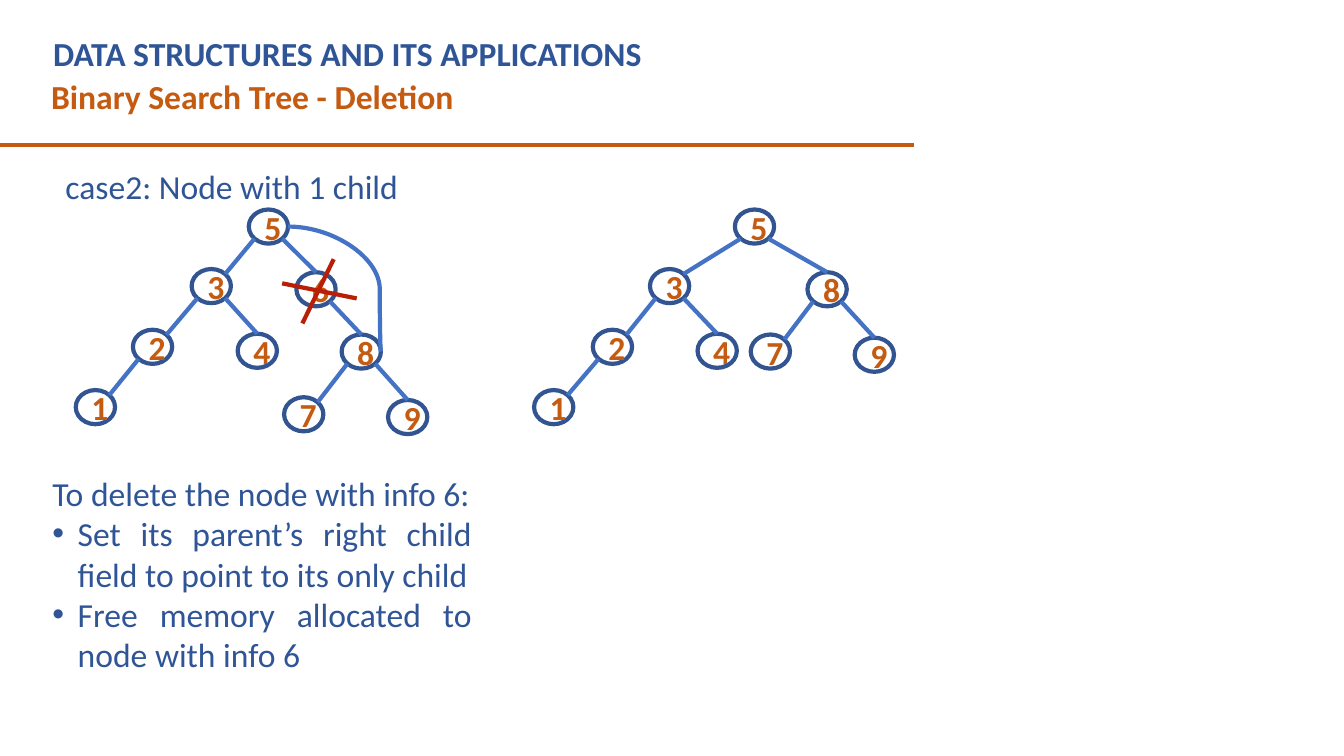
from dataclasses import dataclass
from math import sqrt

from lxml.etree import SubElement
from pptx import Presentation
from pptx.dml.color import RGBColor
from pptx.enum.shapes import MSO_CONNECTOR, MSO_SHAPE
from pptx.enum.text import PP_ALIGN
from pptx.oxml.ns import qn
from pptx.shapes.autoshape import Shape
from pptx.shapes.connector import Connector
from pptx.text.text import TextFrame, _Paragraph
from pptx.util import Cm, Pt

COLORS = {
    "title": "2F5597",
    "accent": "C55A11",
    "ring": "325491",
    "edge": "4472C4",
    "cross": "B81F06",
    "white": "FFFFFF",
}
FONT = "Calibri"
WIDE, HIGH = 0.99, 0.86
DIAG_X, DIAG_Y = WIDE / sqrt(8), HIGH / sqrt(8)


@dataclass(frozen=True)
class Node:
    key: str
    x: float
    y: float
    parent: str = ""
    right: bool = False

    @property
    def mid_x(self) -> float:
        return self.x + WIDE / 2

    @property
    def mid_y(self) -> float:
        return self.y + HIGH / 2


@dataclass(frozen=True)
class Label:
    text: str
    x: float
    y: float
    width: float
    color: str


BEFORE = [
    Node("5", 6.27, 5.28),
    Node("3", 4.83, 6.78, "5"),
    Node("6", 7.47, 6.86, "5", True),
    Node("2", 3.35, 8.31, "3"),
    Node("4", 5.99, 8.41, "3", True),
    Node("8", 8.61, 8.43, "6", True),
    Node("1", 1.91, 9.83, "2"),
    Node("9", 9.78, 10.08, "8", True),
    Node("7", 7.16, 10.01, "8"),
]
AFTER = [
    Node("5", 18.52, 5.28),
    Node("3", 16.38, 6.78, "5"),
    Node("8", 20.35, 6.86, "5", True),
    Node("2", 14.94, 8.31, "3"),
    Node("4", 17.58, 8.41, "3", True),
    Node("1", 13.46, 9.83, "2"),
    Node("9", 21.54, 8.51, "8", True),
    Node("7", 18.92, 8.43, "8"),
]
TITLES = [
    Label("DATA STRUCTURES AND ITS APPLICATIONS", 1.09, 0.71, 20.83, "title"),
    Label("Binary Search Tree - Deletion", 1.04, 1.8, 22.23, "accent"),
]
CROSS = [(7.62, 8.15, 8.41, 6.53), (7.11, 7.14, 8.99, 7.52)]
STEPS = [
    "Set its parent’s right child field to point to its only child",
    "Free memory allocated to node with info 6",
]

deck = Presentation()
deck.slide_width, deck.slide_height = Cm(33.87), Cm(19.05)
slide = deck.slides.add_slide(deck.slide_layouts[6])


def tint(name: str) -> RGBColor:
    return RGBColor.from_string(COLORS[name])


def add_run(para: _Paragraph, text: str, color: str, bold: bool = False) -> None:
    run = para.add_run()
    run.text = text
    run.font.name = FONT
    run.font.size = Pt(24)
    run.font.bold = bold
    run.font.color.rgb = tint(color)


def add_box(x: float, y: float, width: float, height: float) -> TextFrame:
    frame = slide.shapes.add_textbox(Cm(x), Cm(y), Cm(width), Cm(height)).text_frame
    frame.word_wrap = True
    return frame


def add_line(
    x1: float, y1: float, x2: float, y2: float, color: str,
    kind: MSO_CONNECTOR = MSO_CONNECTOR.STRAIGHT,
) -> Connector:
    line = slide.shapes.add_connector(kind, Cm(x1), Cm(y1), Cm(x2), Cm(y2))
    line.line.color.rgb = tint(color)
    line.line.width = Pt(3)
    SubElement(line._element.spPr, qn("a:effectLst"))
    return line


def add_node(node: Node) -> Shape:
    ring = slide.shapes.add_shape(
        MSO_SHAPE.OVAL, Cm(node.x), Cm(node.y), Cm(WIDE), Cm(HIGH)
    )
    ring.shadow.inherit = False
    ring.fill.solid()
    ring.fill.fore_color.rgb = tint("white")
    ring.line.color.rgb = tint("ring")
    ring.line.width = Pt(3)
    para = ring.text_frame.paragraphs[0]
    para.alignment = PP_ALIGN.CENTER
    add_run(para, node.key, "accent", True)
    return ring


def add_edge(parent: Node, child: Node, ring: Shape) -> None:
    start_y = parent.mid_y + DIAG_Y
    if child.right:
        line = add_line(parent.mid_x + DIAG_X, start_y, child.mid_x, child.y, "edge")
        line.end_connect(ring, 0)
    else:
        add_line(
            parent.mid_x - DIAG_X, start_y,
            child.mid_x + DIAG_X, child.mid_y - DIAG_Y, "edge",
        )


def add_tree(nodes: list[Node]) -> dict[str, Node]:
    tree = {node.key: node for node in nodes}
    for node in nodes:
        ring = add_node(node)
        if node.parent:
            add_edge(tree[node.parent], node, ring)
    return tree


def add_bypass(start: Node, end: Node) -> None:
    curve = add_line(
        start.x + WIDE, start.mid_y, end.x + WIDE, end.mid_y,
        "edge", MSO_CONNECTOR.CURVE,
    )
    shape = curve._element.spPr.find(qn("a:prstGeom"))
    guides = shape.find(qn("a:avLst"))
    if guides is None:
        guides = SubElement(shape, qn("a:avLst"))
    SubElement(guides, qn("a:gd"), name="adj1", fmla="val 98800")


def add_steps() -> None:
    frame = add_box(1.07, 11.79, 11.07, 5.38)
    for index, text in enumerate(["To delete the node with info 6:", *STEPS]):
        para = frame.add_paragraph() if index else frame.paragraphs[0]
        para.alignment = PP_ALIGN.JUSTIFY
        props = para._p.get_or_add_pPr()
        props.set("marL", str(Cm(0.64)))
        props.set("indent", str(-Cm(0.64)))
        if index:
            SubElement(props, qn("a:buFont"), typeface="Arial")
            SubElement(props, qn("a:buChar"), char="•")
        add_run(para, text, "title")


for label in TITLES:
    title = add_box(label.x, label.y, label.width, 1.27)
    add_run(title.paragraphs[0], label.text, label.color, True)
add_line(0, 3.66, 23.04, 3.66, "accent")

case = add_box(1.4, 3.58, 21.21, 13.84)
case.margin_top, case.margin_bottom = Cm(0.1), Cm(0)
case.paragraphs[0].line_spacing = 1.5
case.paragraphs[0].alignment = PP_ALIGN.JUSTIFY
add_run(case.paragraphs[0], "case2: Node with 1 child", "title")

tree = add_tree(BEFORE)
add_steps()
for stroke in CROSS:
    add_line(*stroke, "cross")
add_bypass(tree["5"], tree["8"])
add_tree(AFTER)

deck.save("out.pptx")
